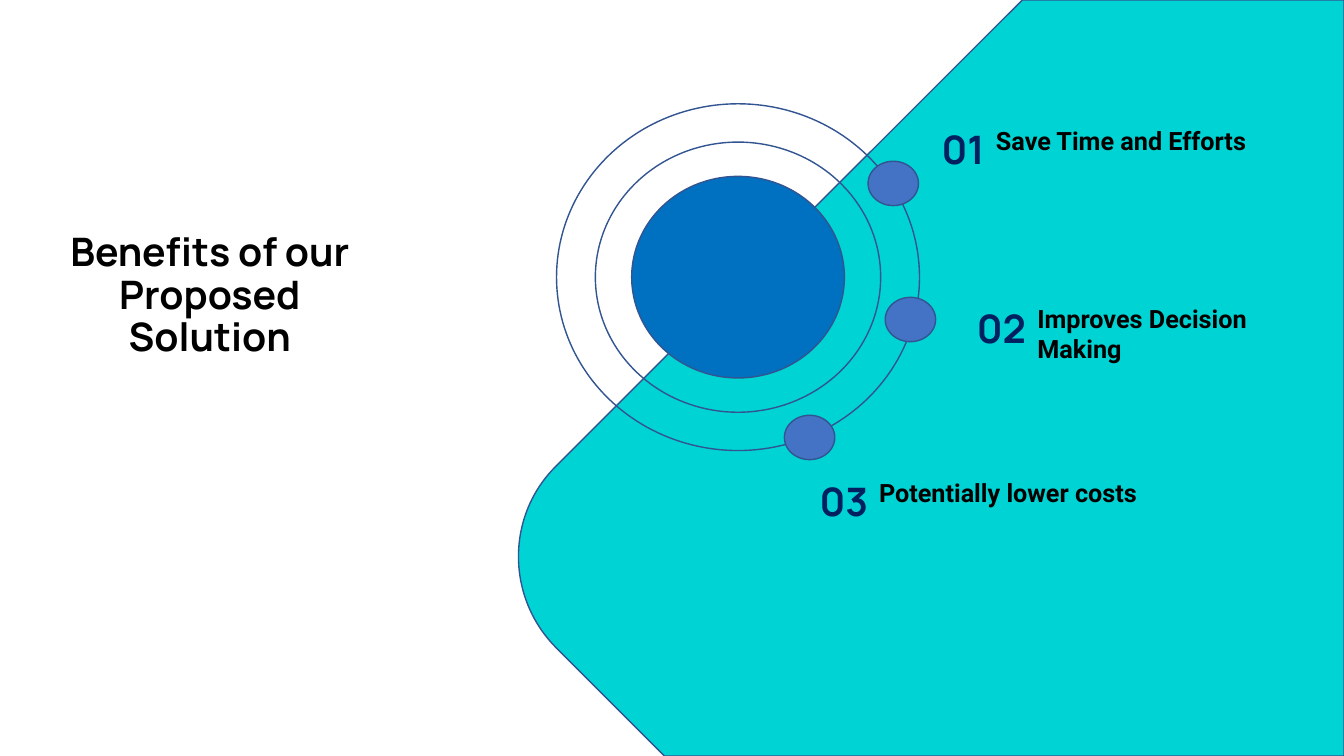
from pptx import Presentation
from pptx.dml.color import RGBColor
from pptx.enum.shapes import MSO_SHAPE
from pptx.enum.text import MSO_ANCHOR, PP_ALIGN
from pptx.util import Inches, Pt

# Content: number, number place, label, label box, dot place
TITLE = "Benefits of our Proposed Solution"
ITEMS = [
    ("01", (9.24, 1.19), "Save Time and Efforts", (9.78, 1.19, 2.77, 0.4), (8.61, 1.6)),
    ("02", (9.59, 2.97), "Improves Decision Making", (10.19, 2.96, 2.95, 0.71), (8.78, 2.95)),
    ("03", (8.03, 4.69), "Potentially lower costs", (8.62, 4.69, 2.77, 0.4), (7.78, 4.12)),
]

# Colours
BLACK = RGBColor(0x00, 0x00, 0x00)
NAVY = RGBColor(0x00, 0x20, 0x60)
TEAL = RGBColor(0x00, 0xD3, 0xD3)
BLUE = RGBColor(0x00, 0x70, 0xC0)
DOT = RGBColor(0x44, 0x72, 0xC4)
EDGE = RGBColor(0x32, 0x54, 0x91)

# Layout
WIDE, HIGH = 13.33, 7.5
MID = (7.32, 2.75)
RINGS = [(2.11, 2, BLUE), (2.83, 2.68, None), (3.6, 3.44, None)]
NUM_SIZE = (0.7, 0.57)
DOT_SIZE = (0.5, 0.44)
CORNERS = [(10.14, 0), (WIDE, 0), (WIDE, HIGH), (6.59, HIGH)]
BEND = [(5.51, 6.42), (5.02, 5.92), (5.02, 5.12), (5.51, 4.63)]
STEPS = 40

deck = Presentation()
deck.slide_width, deck.slide_height = Inches(WIDE), Inches(HIGH)
slide = deck.slides.add_slide(deck.slide_layouts[6])
shapes = slide.shapes


def add_text(text, box, size=18, font="Roboto", color=BLACK,
             align=PP_ALIGN.LEFT, anchor=MSO_ANCHOR.TOP, space=1.0):
    frame = shapes.add_textbox(*map(Inches, box)).text_frame
    frame.word_wrap = True
    frame.vertical_anchor = anchor
    para = frame.paragraphs[0]
    para.alignment, para.line_spacing = align, space
    run = para.add_run()
    run.text = text
    run.font.size, run.font.name, run.font.bold = Pt(size), font, True
    run.font.color.rgb = color


def paint(shape, fill):
    shape.shadow.inherit = False
    if fill is None:
        shape.fill.background()
    else:
        shape.fill.solid()
        shape.fill.fore_color.rgb = fill
    shape.line.color.rgb = EDGE
    shape.line.width = Pt(1)


def add_oval(box, fill):
    paint(shapes.add_shape(MSO_SHAPE.OVAL, *map(Inches, box)), fill)


def curve(t):
    """Point on the cubic bend at t."""
    parts = ((1 - t) ** 3, 3 * t * (1 - t) ** 2, 3 * t ** 2 * (1 - t), t ** 3)
    return tuple(sum(k * p[axis] for k, p in zip(parts, BEND)) for axis in (0, 1))


# Title
add_text(TITLE, (0.37, 2.04, 3.42, 1.58), size=28, font="Manrope",
         align=PP_ALIGN.CENTER, anchor=MSO_ANCHOR.BOTTOM, space=0.9)

# Teal panel with a rounded left corner
points = CORNERS + [curve(i / STEPS) for i in range(STEPS + 1)]
points = [(Inches(x), Inches(y)) for x, y in points]
panel = shapes.build_freeform(*points[0])
panel.add_line_segments(points[1:], close=True)
paint(panel.convert_to_shape(), TEAL)

# Disc and rings around one centre
for wide, high, fill in RINGS:
    add_oval((MID[0] - wide / 2, MID[1] - high / 2, wide, high), fill)

# Numbered benefits with their dots
for num, spot, label, box, dot in ITEMS:
    add_text(num, spot + NUM_SIZE, size=28, font="Manrope", color=NAVY)
    add_text(label, box)
    add_oval(dot + DOT_SIZE, DOT)

deck.save("out.pptx")
